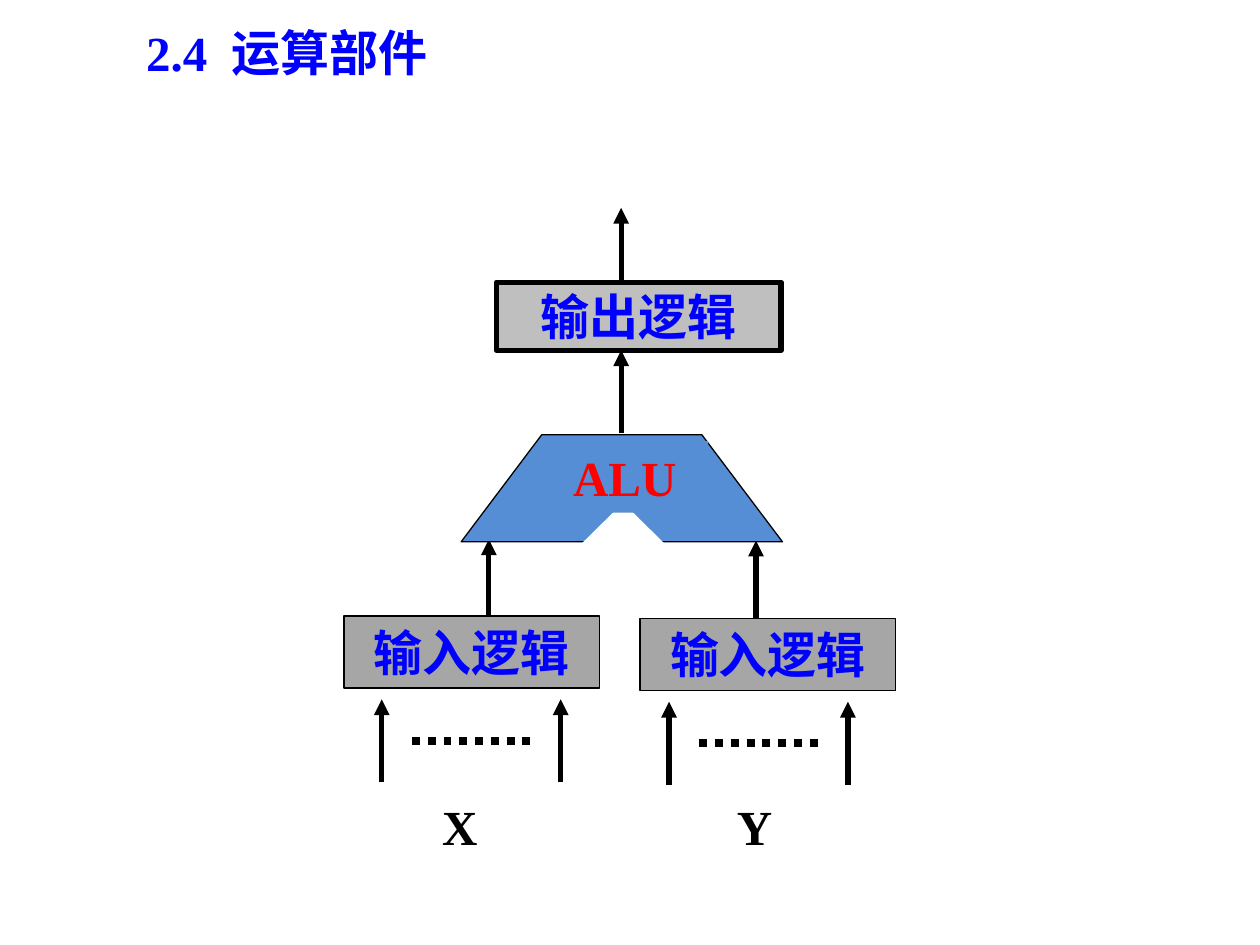
from dataclasses import dataclass
from lxml.etree import SubElement
from pptx import Presentation
from pptx.dml.color import RGBColor
from pptx.enum.dml import MSO_LINE
from pptx.enum.shapes import MSO_CONNECTOR, MSO_SHAPE
from pptx.enum.text import MSO_ANCHOR, MSO_AUTO_SIZE, PP_ALIGN
from pptx.oxml.ns import qn
from pptx.util import Inches, Pt


@dataclass(frozen=True)
class Theme:
    font: str = "Times New Roman"
    size: float = 28
    blue: str = "0000FF"
    red: str = "FF0000"
    black: str = "000000"
    white: str = "FFFFFF"
    alu: str = "558ED5"
    output: str = "BFBFBF"
    input: str = "A6A6A6"
    thin: float = 0.75
    thick: float = 3
    dots: float = 4.5


THEME = Theme()

TITLE = ("2.4  运算部件", (1.06, 0.13, 8.09, 0.57))
OUTPUT = ("输出逻辑", (3.94, 2.24, 2.26, 0.54))
ALU = ("ALU", (4.45, 3.5, 1.17, 0.57))
ALU_OUTLINE = [(3.66, 4.3), (4.3, 3.45), (5.57, 3.45), (6.21, 4.3)]
ALU_NOTCH = (4.6, 3.99, 0.69, 0.34)

# x, start y and end y of each single arrow
ALU_INPUT_ARROWS = [(3.88, 4.94, 4.28), (6, 4.95, 4.29)]
OUTPUT_ARROWS = [(4.93, 3.44, 2.78), (4.93, 2.24, 1.65)]

# Input boxes with the x of the first arrow below and the operand label
INPUT_SIZE = (2.03, 0.57)
INPUTS = [
    {"text": "输入逻辑", "left": 2.73, "top": 4.89, "arrow": 3.03, "operand": "X", "label": 3.41},
    {"text": "输入逻辑", "left": 5.08, "top": 4.91, "arrow": 5.31, "operand": "Y", "label": 5.75},
]
ARROW_SPREAD, ARROW_GAP, ARROW_LENGTH = 1.42, 0.09, 0.66
DOTS_INDENT, DOTS_LENGTH = 0.24, 0.98
LABEL_TOP, LABEL_SIZE = 6.27, (0.49, 0.57)


def color(value):
    return RGBColor.from_string(value)


def write(shape, text, *, ink=THEME.blue, align=PP_ALIGN.LEFT, anchor=MSO_ANCHOR.TOP,
          wrap=True, grow=True, side_inset=0.1):
    frame = shape.text_frame
    frame.word_wrap = wrap
    frame.auto_size = MSO_AUTO_SIZE.SHAPE_TO_FIT_TEXT if grow else MSO_AUTO_SIZE.NONE
    frame.vertical_anchor = anchor
    frame.margin_left = frame.margin_right = Inches(side_inset)
    frame.margin_top = frame.margin_bottom = Inches(0.05)
    para = frame.paragraphs[0]
    para.alignment = align
    span = para.add_run()
    span.text = text
    span.font.name = THEME.font
    span.font.size = Pt(THEME.size)
    span.font.bold = True
    span.font.color.rgb = color(ink)


def paint(shape, fill, line_width=None):
    shape.shadow.inherit = False
    shape.fill.solid()
    shape.fill.fore_color.rgb = color(fill)
    if line_width is None:
        shape.line.fill.background()
    else:
        shape.line.color.rgb = color(THEME.black)
        shape.line.width = Pt(line_width)


def add_box(page, place, fill, line_width=None, kind=MSO_SHAPE.RECTANGLE):
    box = page.shapes.add_shape(kind, *map(Inches, place))
    paint(box, fill, line_width)
    return box


def add_line(page, start, end, width):
    line = page.shapes.add_connector(MSO_CONNECTOR.STRAIGHT, *map(Inches, (*start, *end)))
    line.line.color.rgb = color(THEME.black)
    line.line.width = Pt(width)
    SubElement(line._element.spPr, qn("a:effectLst"))
    return line


def add_arrow(page, x, start_y, end_y):
    arrow = add_line(page, (x, start_y), (x, end_y), THEME.thick)
    SubElement(arrow.line._get_or_add_ln(), qn("a:tailEnd"), type="triangle")


def add_alu(page):
    corners = [(Inches(x), Inches(y)) for x, y in ALU_OUTLINE]
    builder = page.shapes.build_freeform(*corners[0])
    builder.add_line_segments(corners[1:], close=True)
    paint(builder.convert_to_shape(), THEME.alu, THEME.thin)
    add_box(page, ALU_NOTCH, THEME.white, kind=MSO_SHAPE.ISOSCELES_TRIANGLE)
    text, place = ALU
    write(add_box(page, place, THEME.alu), text, ink=THEME.red)


def add_input(page, item):
    """Draw an input box, the arrows and dots below it, and its operand."""
    place = (item["left"], item["top"], *INPUT_SIZE)
    write(add_box(page, place, THEME.input, THEME.thin), item["text"], align=PP_ALIGN.CENTER)

    tip = item["top"] + INPUT_SIZE[1] + ARROW_GAP
    for x in (item["arrow"] + ARROW_SPREAD, item["arrow"]):
        add_arrow(page, x, tip + ARROW_LENGTH, tip)
    dots_left, dots_y = item["arrow"] + DOTS_INDENT, tip + ARROW_LENGTH / 2
    dots = add_line(page, (dots_left, dots_y), (dots_left + DOTS_LENGTH, dots_y), THEME.dots)
    dots.line.dash_style = MSO_LINE.ROUND_DOT

    label = page.shapes.add_textbox(*map(Inches, (item["label"], LABEL_TOP, *LABEL_SIZE)))
    write(label, item["operand"], ink=THEME.black, wrap=False)


def main():
    deck = Presentation()
    deck.slide_width, deck.slide_height = Inches(10), Inches(7.5)
    page = deck.slides.add_slide(deck.slide_layouts[5])

    text, place = TITLE
    title = page.shapes.title
    title.left, title.top, title.width, title.height = map(Inches, place)
    write(title, text)

    for arrow in ALU_INPUT_ARROWS:
        add_arrow(page, *arrow)
    text, place = OUTPUT
    write(add_box(page, place, THEME.output, THEME.thick), text, align=PP_ALIGN.CENTER,
          anchor=MSO_ANCHOR.MIDDLE, wrap=False, grow=False, side_inset=0)
    for arrow in OUTPUT_ARROWS:
        add_arrow(page, *arrow)
    add_alu(page)
    for item in INPUTS:
        add_input(page, item)

    deck.save("out.pptx")


if __name__ == "__main__":
    main()
